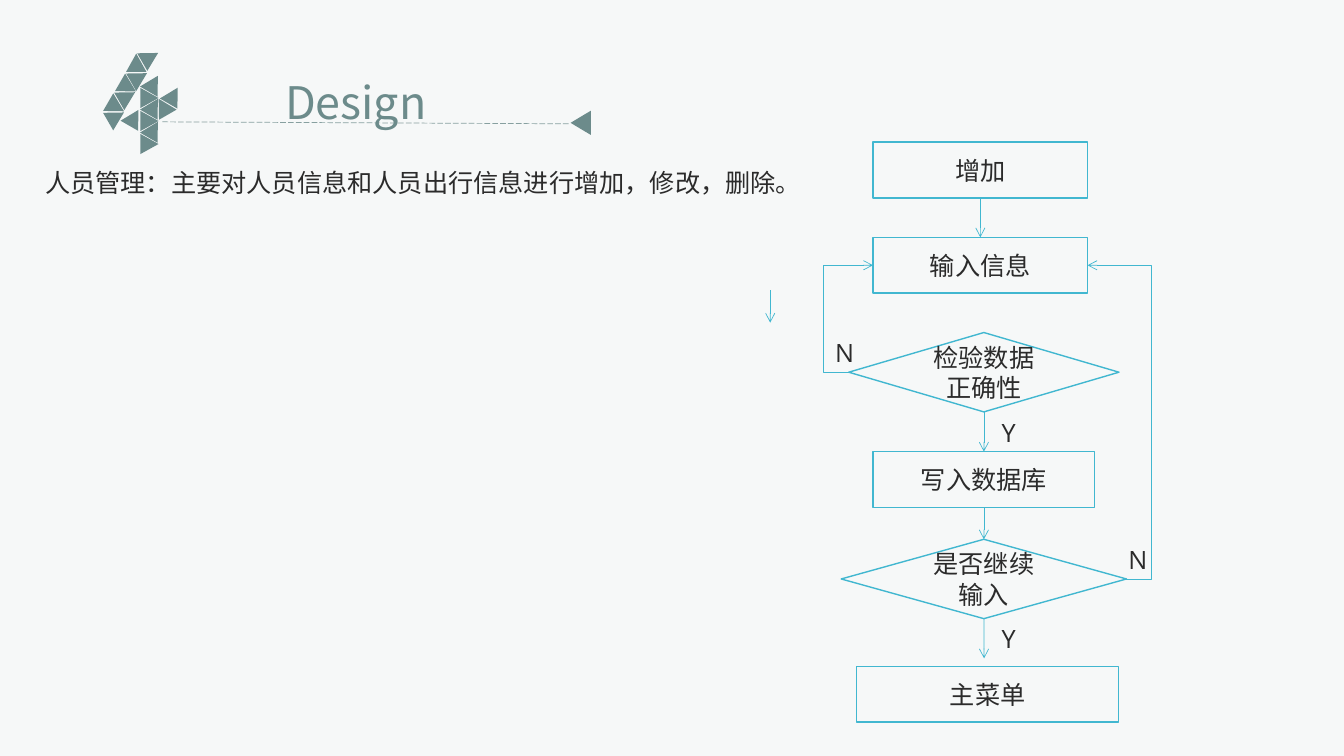
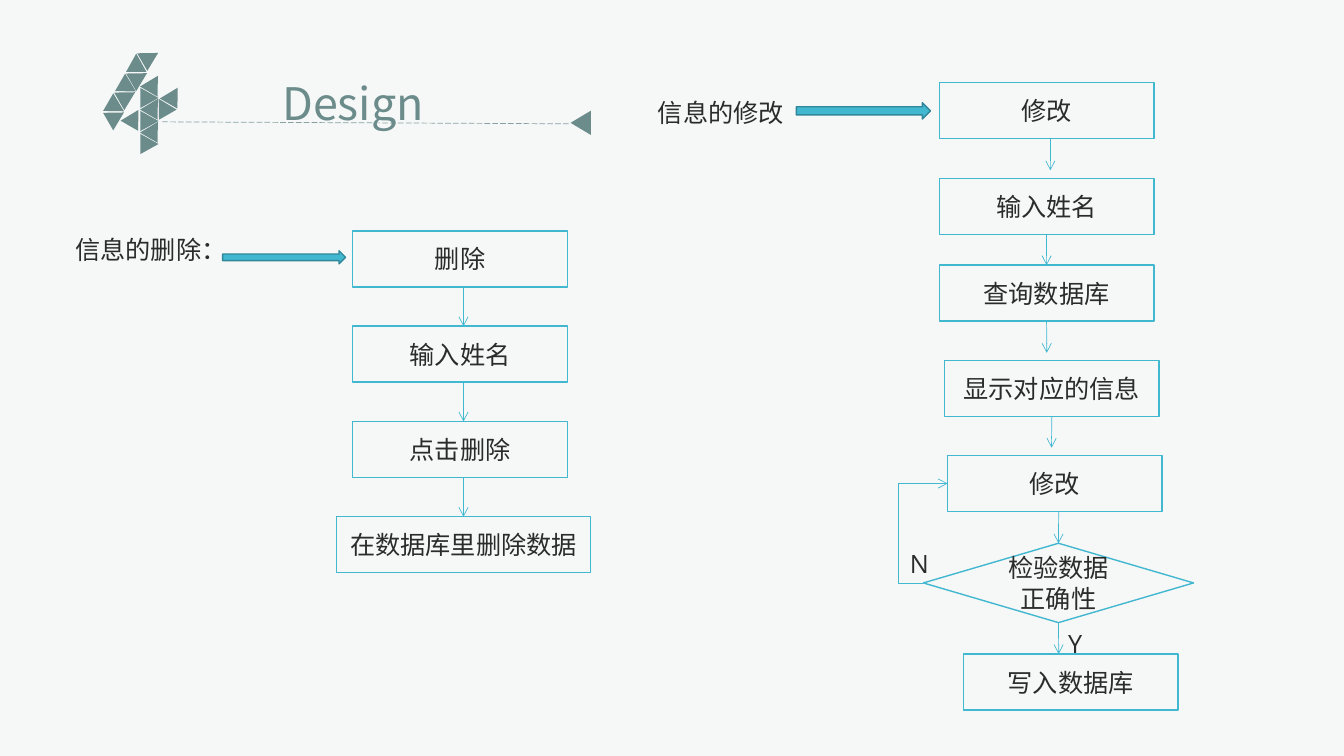
from dataclasses import dataclass

from pptx import Presentation
from pptx.dml.color import RGBColor
from pptx.enum.dml import MSO_LINE
from pptx.enum.shapes import MSO_CONNECTOR, MSO_SHAPE
from pptx.enum.text import MSO_ANCHOR, MSO_AUTO_SIZE, PP_ALIGN
from pptx.oxml.ns import qn
from pptx.util import Cm, Pt
from lxml.etree import SubElement


@dataclass(frozen=True)
class Theme:
    paper: RGBColor = RGBColor.from_string("F6F8F8")
    ink: RGBColor = RGBColor.from_string("2B2B2B")
    sage: RGBColor = RGBColor.from_string("6C8B8B")
    sky: RGBColor = RGBColor.from_string("41B7D0")
    deep: RGBColor = RGBColor.from_string("30879A")
    font: str = "Open Sans"
    head: str = "Noto Sans CJK SC"
    body: Pt = Pt(18)
    title: Pt = Pt(32)
    thin: Pt = Pt(0.5)
    edge: Pt = Pt(1)


WIDE, TALL, GEM, HIGH, STEP = 5.41, 1.41, 6.81, 2, 2.4
TILES = [
    (3.18, 1.35, 0), (3.25, 1.73, 60), (2.97, 1.96, 120), (2.95, 2.21, 60),
    (2.67, 2.46, 120), (2.67, 2.72, 60), (3.53, 1.22, 60),
    (4.11, 2.18, 30), (3.86, 2.46, 330), (3.12, 2.74, 30),
] + [
    (x, y + 0.58 * row, turn)
    for row in range(3)
    for x, y, turn in ((3.61, 1.88, 30), (3.51, 2.24, 90))
]


class Deck:
    def __init__(self, theme):
        self.theme = theme
        self.deck = Presentation()
        self.deck.slide_width = Cm(33.87)
        self.deck.slide_height = Cm(19.05)
        self.slide = None

    def page(self, title, x, y):
        theme = self.theme
        self.slide = self.deck.slides.add_slide(self.deck.slide_layouts[5])
        fill = self.slide.background.fill
        fill.solid()
        fill.fore_color.rgb = theme.paper
        rule = self.line((Cm(4.09), Cm(3.07)), (Cm(14.38), Cm(3.12)), theme.sage)
        rule.line.dash_style = MSO_LINE.LONG_DASH
        tint = next(rule._element.spPr.iter(qn("a:srgbClr")))
        SubElement(tint, qn("a:alpha"), val="80000")
        self.tile(14.33, 2.84, 270, 0.61, 0.51)
        for tile in TILES:
            self.tile(*tile)
        head = self.slide.shapes.title
        head.left, head.top, head.width, head.height = Cm(x), Cm(y), Cm(4.4), Cm(1.63)
        self.letter(head, title, theme.title, theme.sage, theme.head)

    def letter(self, shape, text, size=None, ink=None, font=None,
               align=PP_ALIGN.LEFT, anchor=MSO_ANCHOR.TOP):
        frame = shape.text_frame
        frame.text = text
        frame.word_wrap = True
        frame.auto_size = MSO_AUTO_SIZE.NONE
        frame.vertical_anchor = anchor
        for para in frame.paragraphs:
            para.alignment = align
            for run in para.runs:
                run.font.size = size or self.theme.body
                run.font.name = font or self.theme.font
                run.font.color.rgb = ink or self.theme.ink

    def shape(self, kind, x, y, w, h, fill, edge=None):
        shape = self.slide.shapes.add_shape(kind, Cm(x), Cm(y), Cm(w), Cm(h))
        shape.shadow.inherit = False
        shape.fill.solid()
        shape.fill.fore_color.rgb = fill
        if edge is None:
            shape.line.fill.background()
        else:
            shape.line.color.rgb = edge
            shape.line.width = self.theme.edge
        return shape

    def tile(self, x, y, turn, w=0.51, h=0.46):
        tile = self.shape(MSO_SHAPE.ISOSCELES_TRIANGLE, x, y, w, h, self.theme.sage)
        tile.rotation = turn

    def box(self, text, x, y, w=WIDE, h=TALL, kind=MSO_SHAPE.RECTANGLE):
        box = self.shape(kind, x, y, w, h, self.theme.paper, self.theme.sky)
        self.letter(box, text, align=PP_ALIGN.CENTER, anchor=MSO_ANCHOR.MIDDLE)
        return box

    def gem(self, text, x, y, w=GEM):
        return self.box(text, x, y, w, HIGH, MSO_SHAPE.FLOWCHART_DECISION)

    def block(self, x, y, w, h):
        self.shape(MSO_SHAPE.RIGHT_ARROW, x, y, w, h, self.theme.sky, self.theme.deep)

    def label(self, text, x, y, w=1.6):
        label = self.slide.shapes.add_textbox(Cm(x), Cm(y), Cm(w), Cm(1.02))
        self.letter(label, text)

    def line(self, start, stop, ink, kind=MSO_CONNECTOR.STRAIGHT):
        line = self.slide.shapes.add_connector(kind, *start, *stop)
        line.line.color.rgb = ink
        line.line.width = self.theme.thin
        SubElement(line._element.spPr, qn("a:effectLst"))
        return line

    def arrow(self, start, stop, kind=MSO_CONNECTOR.STRAIGHT):
        arrow = self.line(start, stop, self.theme.sky, kind)
        edge = arrow._element.spPr.find(qn("a:ln"))
        SubElement(edge, qn("a:tailEnd"), type="arrow")
        return arrow

    def drop(self, start, stop):
        ends = []
        for end, low in ((start, True), (stop, False)):
            if isinstance(end, tuple):
                ends.append((Cm(end[0]), Cm(end[1])))
            else:
                ends.append((end.left + end.width // 2,
                             end.top + end.height * low))
        arrow = self.arrow(*ends)
        if not isinstance(start, tuple):
            arrow.begin_connect(start, 2)
        if not isinstance(stop, tuple):
            arrow.end_connect(stop, 0)

    def loop(self, start, stop, x):
        right = Cm(x) > start.left
        ends = [(end.left + end.width * right, end.top + end.height // 2)
                for end in (start, stop)]
        arrow = self.arrow(*ends, MSO_CONNECTOR.ELBOW)
        bend = (Cm(x) - ends[0][0]) / (ends[1][0] - ends[0][0])
        guides = next(arrow._element.spPr.iter(qn("a:avLst")))
        SubElement(guides, qn("a:gd"), name="adj1", fmla=f"val {round(bend * 100000)}")


def add_flow(deck):
    deck.page("Design", 6.93, 1.75)
    deck.label("人员管理：主要对人员信息和人员出行信息进行增加，修改，删除。", 0.89, 4.09, 19.61)
    start = deck.box("增加", 22, 3.58)
    enter = deck.box("输入信息", 22, 3.58 + STEP)
    check = deck.gem("检验数据正确性", 21.39, 3.58 + 2 * STEP)
    store = deck.box("写入数据库", 22, 11.38, 5.59)
    more = deck.gem("是否继续输入", 21.2, 13.59, 7.19)
    deck.box("主菜单", 21.59, 16.79, 6.6)
    for ends in ((start, enter), (check, store), (store, more),
                 (more, (24.8, 16.59)), ((19.41, 7.32), (19.41, 8.13))):
        deck.drop(*ends)
    deck.loop(check, enter, 20.75)
    deck.loop(more, enter, 29.03)
    for text, x, y in (("Y", 24.99, 10.38), ("Y", 24.99, 15.57),
                       ("N", 28.19, 13.59), ("N", 20.8, 8.38)):
        deck.label(text, x, y)


def edit_flow(deck):
    deck.page("Design", 6.86, 1.78)
    deck.label("信息的修改", 16.33, 2.34, 3.81)
    deck.block(20.07, 2.59, 3.38, 0.41)
    deck.box("修改", 23.67, 2.08)
    name = deck.box("输入姓名", 23.67, 4.5)
    query = deck.box("查询数据库", 23.67, 6.68)
    show = deck.box("显示对应的信息", 23.8, 9.09)
    edit = deck.box("修改", 23.88, 11.48)
    check = deck.gem("检验数据正确性", 23.27, 13.69)
    deck.box("写入数据库", 24.28, 16.48)
    for ends in (((26.47, 3.49), (26.47, 4.29)), (name, query),
                 (query, (26.38, 8.89)), (show, (26.5, 11.28)),
                 ((26.68, 12.89), check), (check, (26.68, 16.48))):
        deck.drop(*ends)
    deck.loop(check, edit, 22.63)
    deck.label("Y", 26.67, 15.7)
    deck.label("N", 22.68, 13.69)

    deck.label("信息的删除：", 1.65, 5.79, 4.4)
    deck.block(5.61, 6.32, 3.1, 0.33)
    top = 5.82
    for row, text in enumerate(("删除", "输入姓名", "点击删除")):
        deck.box(text, 8.89, top + row * STEP)
    last = deck.box("在数据库里删除数据", 8.48, top + 3 * STEP, 6.4)
    for row in range(3):
        y = top + row * STEP
        stop = last if row == 2 else (11.68, y + STEP)
        deck.drop((11.68, y + TALL), stop)


def main():
    deck = Deck(Theme())
    add_flow(deck)
    edit_flow(deck)
    deck.deck.save("out.pptx")


if __name__ == "__main__":
    main()
